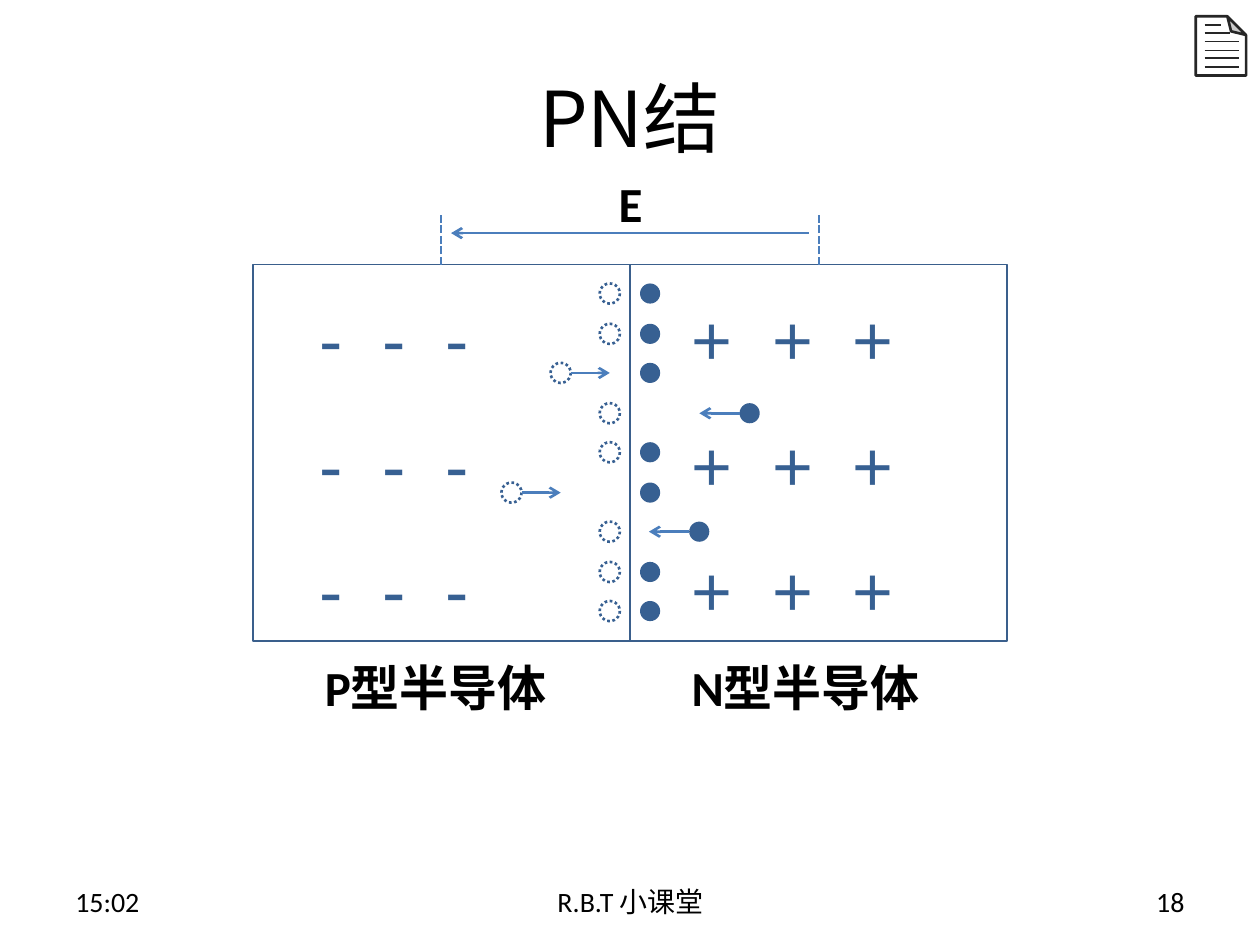
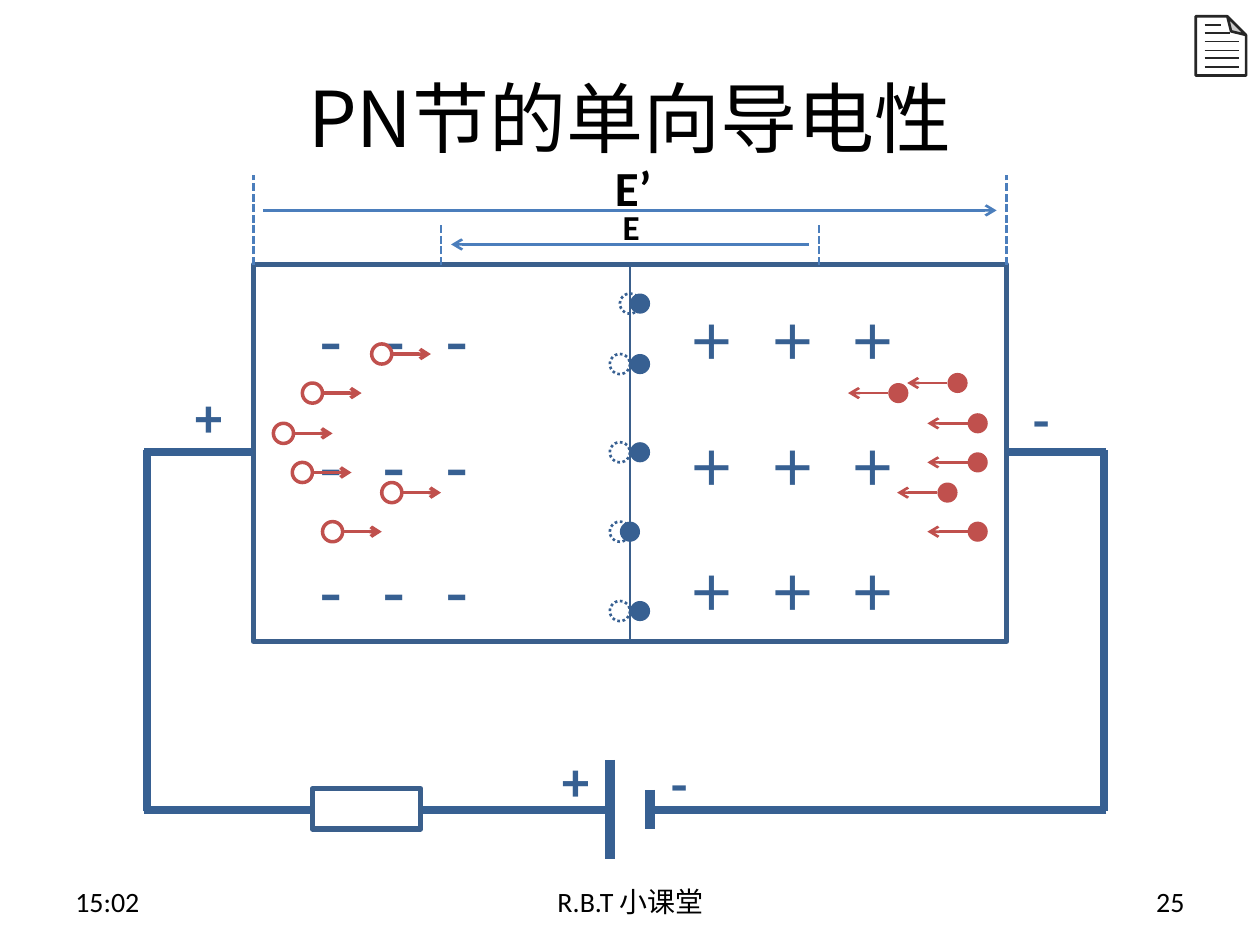
import pptx
import pptx.dml.color
import pptx.enum.dml
import pptx.enum.shapes
import pptx.enum.text
import pptx.oxml.ns
import pptx.util
from lxml import etree

EMU_PER_PX = 9144  # 100 px to the inch
COLORS = {
    "ink": "000000",
    "paper": "FFFFFF",
    "frame": "3A5F8C",
    "carrier": "376092",
    "field": "4B7EBC",
    "driven": "C0504D",
    "icon": "262626",
}
BODY_FONT, CJK_FONT, SIGN_FONT = "Calibri", "Noto Sans CJK SC", "Arial"
DASHES = {
    "dots": pptx.enum.dml.MSO_LINE.ROUND_DOT,
    "dashes": pptx.enum.dml.MSO_LINE.SQUARE_DOT,
}
ALIGN = pptx.enum.text.PP_ALIGN
ANCHOR = pptx.enum.text.MSO_ANCHOR
SHAPES = pptx.enum.shapes.MSO_SHAPE

# Junction geometry
LEFT, MIDDLE, RIGHT, TOP, SIDE = 201, 500, 799, 210, 299
DOT = 16
FIELD_LEFT, FIELD_RIGHT = 350, 650


def px(length):
    return pptx.util.Emu(length * EMU_PER_PX)


def rgb(name):
    return pptx.dml.color.RGBColor.from_string(COLORS[name])


def row(index):
    """Top of a carrier in the given row of the junction."""
    return 225 + (63 * index + 1) // 2


def add_element(parent, tag, **attributes):
    return etree.SubElement(parent, pptx.oxml.ns.qn(tag), attributes)


def write_text(frame, text, size=16, font=BODY_FONT, color="ink", bold=False,
               align=ALIGN.LEFT, anchor=ANCHOR.TOP, wrap=True, spacing=None, tab=None):
    frame.word_wrap = wrap
    frame.auto_size = pptx.enum.text.MSO_AUTO_SIZE.NONE
    frame.vertical_anchor = anchor
    for index, line in enumerate(text.split("\n")):
        para = frame.paragraphs[0] if index == 0 else frame.add_paragraph()
        para.alignment = align
        if spacing:
            para.line_spacing = spacing
        if tab:
            stops = add_element(para._p.get_or_add_pPr(), "a:tabLst")
            for step in (1, 2):
                add_element(stops, "a:tab", pos=str(px(step * tab)), algn="l")
        span = para.add_run()
        span.text = line
        span.font.size = pptx.util.Pt(size)
        span.font.name = font
        span.font.bold = bold
        span.font.color.rgb = rgb(color)
        add_element(span._r.get_or_add_rPr(), "a:ea", typeface=CJK_FONT)


class Painter:
    """Holds the deck, its style and the current page."""

    def __init__(self):
        self.deck = pptx.Presentation()
        self.deck.slide_width, self.deck.slide_height = px(1000), px(750)
        self.page = None

    def start_page(self, title, number):
        self.page = self.deck.slides.add_slide(self.deck.slide_layouts[5])
        box = self.page.shapes.title
        box.left, box.top, box.width, box.height = px(50), px(30), px(900), px(125)
        write_text(box.text_frame, title, size=44, font=CJK_FONT,
                   align=ALIGN.CENTER, anchor=ANCHOR.MIDDLE)
        footers = [
            (50, 233, "15:02", ALIGN.LEFT),
            (342, 317, "R.B.T 小课堂", ALIGN.CENTER),
            (717, 233, number, ALIGN.RIGHT),
        ]
        for left, width, text, align in footers:
            self.text(left, 695, width, 40, text, align=align, anchor=ANCHOR.MIDDLE)
        self.note_icon()

    def text(self, left, top, width, height, text, **style):
        box = self.page.shapes.add_textbox(px(left), px(top), px(width), px(height))
        write_text(box.text_frame, text, **style)

    def label(self, left, top, width, text, **style):
        """Short centred label that never wraps."""
        self.text(left, top, width, 57, text, bold=True, wrap=False,
                  align=ALIGN.CENTER, **style)

    def shape(self, kind, left, top, width, height, fill=None, line=None,
              weight=1, dash=None):
        shape = self.page.shapes.add_shape(kind, px(left), px(top), px(width), px(height))
        shape.shadow.inherit = False
        if fill:
            shape.fill.solid()
            shape.fill.fore_color.rgb = rgb(fill)
        else:
            shape.fill.background()
        if line:
            self.stroke(shape.line, line, weight, dash)
        else:
            shape.line.fill.background()
        return shape

    def stroke(self, line, color, weight, dash=None):
        line.color.rgb = rgb(color)
        line.width = pptx.util.Pt(weight)
        if dash:
            line.dash_style = DASHES[dash]

    def line(self, x1, y1, x2, y2, color="field", weight=1.5, dash=None, arrow=False):
        connector = self.page.shapes.add_connector(
            pptx.enum.shapes.MSO_CONNECTOR.STRAIGHT, px(x1), px(y1), px(x2), px(y2))
        self.stroke(connector.line, color, weight, dash)
        if arrow:
            add_element(connector.line._get_or_add_ln(), "a:tailEnd", type="arrow")
        add_element(connector._element.spPr, "a:effectLst")

    def note_icon(self):
        sheet = self.shape(SHAPES.FOLDED_CORNER, 949, 13, 40, 47,
                           fill="paper", line="icon", weight=1.5)
        properties = sheet._element.spPr
        properties.find(pptx.oxml.ns.qn("a:xfrm")).set("flipV", "1")
        geometry = properties.find(pptx.oxml.ns.qn("a:prstGeom"))
        for guides in list(geometry):
            geometry.remove(guides)
        add_element(add_element(geometry, "a:avLst"), "a:gd",
                    name="adj", fmla="val 37200")
        for index, end in enumerate([969, 976, 983, 983, 983, 983]):
            y = 20 + index * 20 // 3
            self.line(956, y, end, y, color="icon", weight=1)

    def junction(self):
        """Both halves of the crystal with their fixed charges."""
        for left in (LEFT, MIDDLE):
            self.shape(SHAPES.RECTANGLE, left, TOP, SIDE, SIDE, line="frame")
        for left, sign, pitch in ((244, "-", 50), (539, "+", 64)):
            line = "\t".join(sign * 3)
            self.text(left, 196, 217, 313, "\n".join([line] * 3), size=40,
                      font=SIGN_FONT, color="carrier", spacing=1.5, tab=pitch)

    def hole(self, left, top, moving=False, driven=False):
        if driven:
            self.shape(SHAPES.OVAL, left, top, DOT, DOT, fill="paper",
                       line="driven", weight=2)
        else:
            self.shape(SHAPES.OVAL, left, top, DOT, DOT, line="carrier",
                       weight=1.5, dash="dots")
        if moving:
            self.line(left + DOT, top + 8, left + DOT + 31, top + 8, arrow=True,
                      color="driven" if driven else "field",
                      weight=2 if driven else 1.5)

    def electron(self, left, top, moving=False, driven=False):
        self.shape(SHAPES.OVAL, left, top, DOT, DOT,
                   fill="driven" if driven else "carrier")
        if moving:
            self.line(left, top + 8, left - 32, top + 8, arrow=True,
                      color="driven" if driven else "field")

    def field(self, left, right, limit_top, arrow_y, to_right=False):
        """Field arrow between two dashed limits above the junction."""
        for x in (right, left):
            self.line(x, TOP, x, limit_top, dash="dashes")
        start, end = (left + 8, right - 8) if to_right else (right - 8, left + 8)
        self.line(start, arrow_y, end, arrow_y, arrow=True)


def draw_junction(painter):
    painter.start_page("PN结", "18")
    painter.junction()
    for left, text in ((248, "P型半导体"), (539, "N型半导体")):
        painter.text(left, 517, 213, 57, text, size=28, bold=True)

    # Carriers, some of them still drifting to the boundary
    drifting_holes = {2: 437, 5: 398}
    drifting_electrons = {3: 587, 6: 547}
    for index in range(9):
        painter.hole(drifting_holes.get(index, 476), row(index),
                     moving=index in drifting_holes)
        painter.electron(drifting_electrons.get(index, 508), row(index),
                         moving=index in drifting_electrons)

    # Built-in field
    painter.field(FIELD_LEFT, FIELD_RIGHT, 170, 185)
    painter.label(481, 133, 39, "Ε", size=28)


def draw_conduction(painter):
    painter.start_page("PN节的单向导电性", "25")
    painter.junction()

    # Recombining pairs at the boundary: hole left, electron left, top
    pairs = [(492, 500, 233), (484, 500, 281), (484, 500, 351),
             (484, 492, 414), (484, 500, 477)]
    for hole_left, electron_left, top in pairs:
        painter.hole(hole_left, top)
        painter.electron(electron_left, top)
    painter.shape(SHAPES.RECTANGLE, LEFT, TOP, 2 * SIDE, SIDE, line="frame", weight=3)

    # Circuit: wires, battery plates and resistor
    wires = [
        (LEFT, 359, 114, 359), (878, 359, RIGHT, 359),
        (484, 643, 114, 643), (878, 643, 516, 643),
        (876, 644, 876, 357), (117, 644, 117, 357),
    ]
    for ends in wires:
        painter.line(*ends, color="carrier", weight=4.5)
    for x, top, bottom in ((484, 603, 682), (516, 627, 658)):
        painter.line(x, top, x, bottom, color="carrier", weight=6)
    painter.shape(SHAPES.RECTANGLE, 248, 626, 86, 32, fill="paper",
                  line="frame", weight=3)
    for left, top, sign in ((437, 593, "+"), (519, 593, "-"),
                            (146, 304, "+"), (807, 304, "-")):
        painter.label(left, top, 40, sign, size=28, font=CJK_FONT, color="carrier")

    # Carriers driven by the battery
    for left, top in ((295, 273), (240, 304), (217, 336),
                      (232, 367), (303, 383), (256, 414)):
        painter.hole(left, top, moving=True, driven=True)
    for left, top in ((752, 296), (705, 304), (768, 328),
                      (768, 359), (744, 383), (768, 414)):
        painter.electron(left, top, moving=True, driven=True)

    # Built-in field and the applied field above it
    painter.field(FIELD_LEFT, FIELD_RIGHT, 178, 194)
    painter.label(484, 158, 34, "Ε", size=20)
    painter.field(LEFT, RIGHT, 139, 167, to_right=True)
    painter.label(478, 120, 49, "Ε’", size=28)


def main():
    painter = Painter()
    draw_junction(painter)
    draw_conduction(painter)
    painter.deck.save("out.pptx")


if __name__ == "__main__":
    main()
